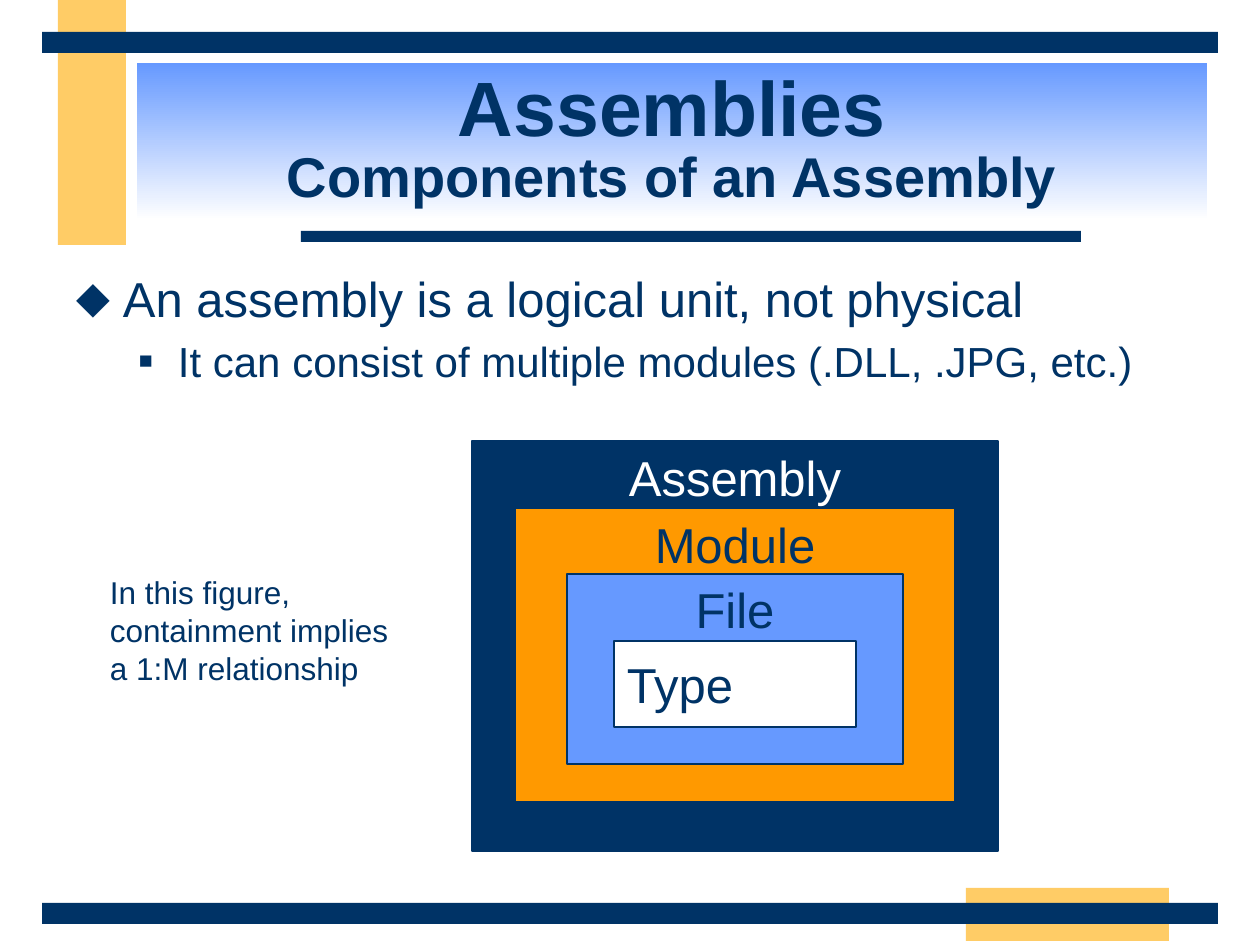
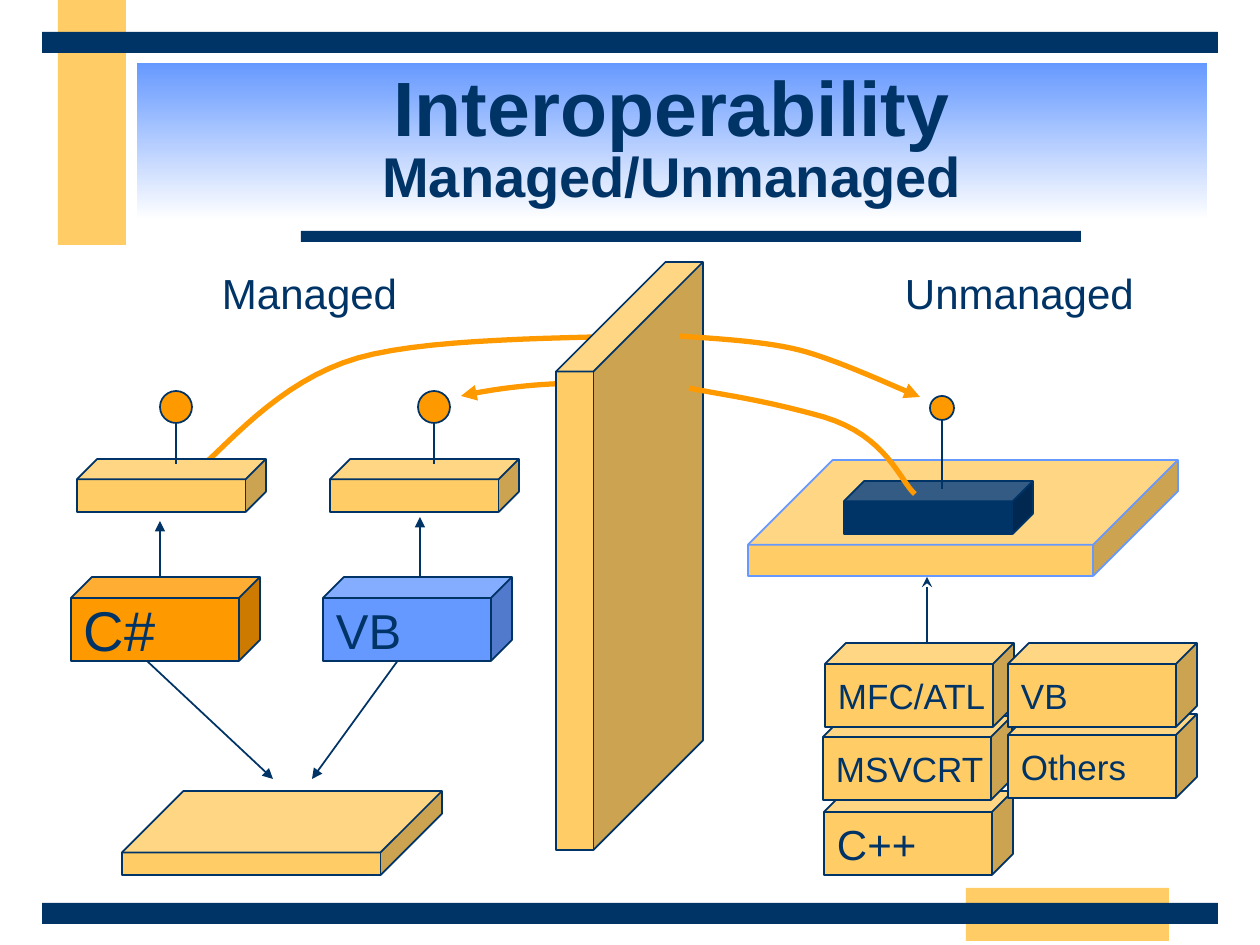
from lxml.etree import SubElement
from pptx import Presentation
from pptx.dml.color import RGBColor
from pptx.enum.shapes import MSO_CONNECTOR as Connector, MSO_SHAPE as Preset
from pptx.enum.text import MSO_ANCHOR as Anchor, MSO_AUTO_SIZE as AutoSize, PP_ALIGN as Align
from pptx.oxml.ns import qn
from pptx.util import Emu, Pt

NAVY, SAND, ORANGE, BLUE, WHITE = "003366", "FFCC66", "FF9900", "6699FF", "FFFFFF"
FONT = "Arial"
EMU_PER_PX = 914400 / 126
CUBE_SIZE = (189, 84)
PLATE_SIZE = (189, 53)


def px(length):
    return Emu(round(length * EMU_PER_PX))


def color(hex_text):
    return RGBColor.from_string(hex_text)


# ---- Text ----
def write(paragraph, text, size=18, ink=NAVY, bold=False, align=Align.LEFT):
    """Add text in one format; each newline becomes a line break."""
    paragraph.alignment = align
    for number, line in enumerate(text.split("\n")):
        if number:
            paragraph.add_line_break()
        run = paragraph.add_run()
        run.text = line
        font = run.font
        font.name, font.size, font.bold = FONT, Pt(size), bold
        font.color.rgb = color(ink)


def set_frame(shape, anchor=Anchor.TOP, right=13):
    frame = shape.text_frame
    frame.word_wrap = True
    frame.auto_size = AutoSize.NONE
    frame.vertical_anchor = anchor
    frame.margin_left, frame.margin_right = px(13), px(right)
    frame.margin_top = frame.margin_bottom = px(6)
    return frame.paragraphs[0]


def add_label(slide, box, text, **text_format):
    shape = slide.shapes.add_textbox(*map(px, box))
    write(set_frame(shape), text, **text_format)


def place(shape, box):
    shape.left, shape.top, shape.width, shape.height = map(px, box)


def set_bullet(paragraph, character, margin, hanging, percent=100):
    properties = paragraph._p.get_or_add_pPr()
    properties.set("marL", str(px(margin)))
    properties.set("indent", str(-px(hanging)))
    bullet_color = SubElement(properties, qn("a:buClr"))
    SubElement(bullet_color, qn("a:srgbClr"), val=NAVY)
    SubElement(properties, qn("a:buSzPct"), val=str(percent * 1000))
    SubElement(properties, qn("a:buFont"), typeface=FONT)
    SubElement(properties, qn("a:buChar"), char=character)


# ---- Shapes and lines ----
def add_shape(slide, preset, box, fill, line=NAVY, width=1):
    shape = slide.shapes.add_shape(preset, *map(px, box))
    shape.shadow.inherit = False
    shape.fill.solid()
    shape.fill.fore_color.rgb = color(fill)
    if line:
        shape.line.color.rgb = color(line)
        shape.line.width = Pt(width)
    else:
        shape.line.fill.background()
    return shape


def add_cube(slide, box, fill=SAND, depth=0.25, line=NAVY, text="", size=20):
    cube = add_shape(slide, Preset.CUBE, box, fill, line)
    cube.adjustments[0] = depth
    if text:
        write(set_frame(cube, Anchor.MIDDLE, right=0), text, size=size)


def style_line(line, ink, width, arrow=None):
    line.color.rgb = color(ink)
    line.width = Pt(width)
    if arrow:
        SubElement(line._get_or_add_ln(), qn("a:tailEnd"), type=arrow)


def add_line(slide, start, end, arrow=None):
    connector = slide.shapes.add_connector(Connector.STRAIGHT, *map(px, start + end))
    style_line(connector.line, NAVY, 1, arrow)
    SubElement(connector._element.spPr, qn("a:effectLst"))


def bezier_points(start, control_1, control_2, end, steps=16):
    for step in range(1, steps + 1):
        t = step / steps
        weights = ((1 - t) ** 3, 3 * t * (1 - t) ** 2, 3 * t * t * (1 - t), t ** 3)
        corners = (start, control_1, control_2, end)
        yield tuple(px(sum(w * c[axis] for w, c in zip(weights, corners))) for axis in (0, 1))


def add_curve(slide, points, arrow=None):
    """Draw joined cubic curves: a start, then two controls and an end for each."""
    builder = slide.shapes.build_freeform(*map(px, points[0]))
    for first in range(0, len(points) - 1, 3):
        builder.add_line_segments(bezier_points(*points[first:first + 4]), close=False)
    curve = builder.convert_to_shape()
    curve.shadow.inherit = False
    curve.fill.background()
    style_line(curve.line, ORANGE, 3, arrow)


def add_pin(slide, x, top, diameter, foot):
    """Draw an interface symbol: a ball on a stem."""
    add_line(slide, (x, top + diameter // 2), (x, foot))
    add_shape(slide, Preset.OVAL, (x - diameter // 2, top, diameter, diameter), ORANGE)


# ---- Shared slide frame ----
def add_slide(presentation, layout_index, heading, subheading):
    slide = presentation.slides.add_slide(presentation.slide_layouts[layout_index])
    for box, fill in (
        ((58, 0, 68, 245), SAND),
        ((966, 888, 203, 53), SAND),
        ((301, 231, 780, 11), NAVY),
        ((42, 903, 1176, 21), NAVY),
        ((42, 32, 1176, 21), NAVY),
    ):
        add_shape(slide, Preset.RECTANGLE, box, fill, line=None)

    title = slide.shapes.title
    place(title, (137, 63, 1070, 157))
    title.fill.gradient()
    title.fill.gradient_angle = 270
    for stop, position, shade in zip(title.fill.gradient_stops, (0, 1), (BLUE, WHITE)):
        stop.position = position
        stop.color.rgb = color(shade)
    paragraph = set_frame(title, Anchor.MIDDLE)
    paragraph.line_spacing = 0.85
    write(paragraph, heading + "\n", size=44, bold=True, align=Align.CENTER)
    write(paragraph, subheading, size=32, bold=True, align=Align.CENTER)
    return slide


# ---- Slides ----
def build_assemblies(presentation):
    slide = add_slide(presentation, 1, "Assemblies", "Components of an Assembly")

    # Bullet list
    body = slide.placeholders[1]
    place(body, (63, 262, 1134, 620))
    point = set_frame(body)
    point.space_before = Pt(0)
    set_bullet(point, "⬥", 47, 47)
    write(point, "An assembly is a logical unit, not physical", size=28)
    detail = body.text_frame.add_paragraph()
    detail.level = 1
    detail.space_before = Pt(4.8)
    set_bullet(detail, "■", 102, 39, percent=55)
    write(detail, "It can consist of multiple modules (.DLL, .JPG, etc.)", size=24)

    # Nested containers
    for text, box, fill, ink in (
        ("Assembly", (472, 441, 526, 410), NAVY, WHITE),
        ("Module", (515, 508, 440, 294), ORANGE, NAVY),
        ("File", (567, 574, 336, 190), BLUE, NAVY),
    ):
        container = add_shape(slide, Preset.RECTANGLE, box, fill, width=0.75)
        write(set_frame(container), text, size=28, ink=ink, align=Align.CENTER)
    innermost = add_shape(slide, Preset.RECTANGLE, (614, 641, 242, 86), WHITE, width=0.75)
    write(set_frame(innermost, Anchor.MIDDLE), "Type", size=28)

    add_label(slide, (97, 567, 312, 126),
              "In this figure,\ncontainment implies\na 1:M relationship")


def build_interoperability(presentation):
    slide = add_slide(presentation, 5, "Interoperability", "Managed/Unmanaged")

    # Arrows between the layers
    for start, end, arrow in (
        ((927, 650), (927, 577), "stealth"),
        ((420, 630), (312, 779), "triangle"),
        ((147, 661), (273, 779), "triangle"),
        ((160, 605), (160, 521), "triangle"),
        ((420, 601), (420, 517), "triangle"),
    ):
        add_line(slide, start, end, arrow)

    # Calls that pass behind the wall
    add_curve(slide, [(678, 388), (633, 386), (588, 383), (552, 384),
                      (517, 386), (489, 390), (461, 396)], "triangle")
    add_curve(slide, [(197, 470), (223, 451), (277, 381), (358, 358),
                      (437, 335), (610, 339), (677, 334)])

    # Wall and managed side
    add_cube(slide, (556, 262, 147, 588), depth=0.745)
    add_cube(slide, (122, 791, 320, 84), depth=0.731)
    add_cube(slide, (71, 577, *CUBE_SIZE), ORANGE, text="C#", size=32)
    add_cube(slide, (323, 577, *CUBE_SIZE), BLUE, text="VB", size=28)
    for plate_left, pin_x in ((330, 434), (77, 176)):
        add_cube(slide, (plate_left, 459, *PLATE_SIZE), depth=0.383)
        add_pin(slide, pin_x, 391, 32, 464)

    # Unmanaged side
    add_cube(slide, (748, 460, 430, 116), depth=0.731, line=BLUE)
    add_cube(slide, (844, 481, *PLATE_SIZE), NAVY, depth=0.383)
    add_pin(slide, 942, 396, 24, 489)
    for text, left, top, size in (
        ("C++", 824, 791, 24),
        ("MSVCRT", 823, 716, 20),
        ("MFC/ATL", 825, 643, 20),
        ("Others", 1008, 714, 20),
        ("VB", 1008, 643, 20),
    ):
        add_cube(slide, (left, top, *CUBE_SIZE), text=text, size=size)

    # Side labels
    add_label(slide, (209, 262, 208, 63), "Managed", size=24)
    add_label(slide, (892, 262, 266, 63), "Unmanaged", size=24)

    # Calls in front of the wall
    add_curve(slide, [(680, 336), (699, 338), (759, 340), (799, 350),
                      (838, 360), (895, 387), (920, 397)], "triangle")
    add_curve(slide, [(915, 494), (900, 481), (887, 436), (824, 417),
                      (761, 399), (717, 394), (689, 388)])


def main():
    presentation = Presentation()
    presentation.slide_width, presentation.slide_height = px(1260), px(945)
    build_assemblies(presentation)
    build_interoperability(presentation)
    presentation.save("out.pptx")


if __name__ == "__main__":
    main()
